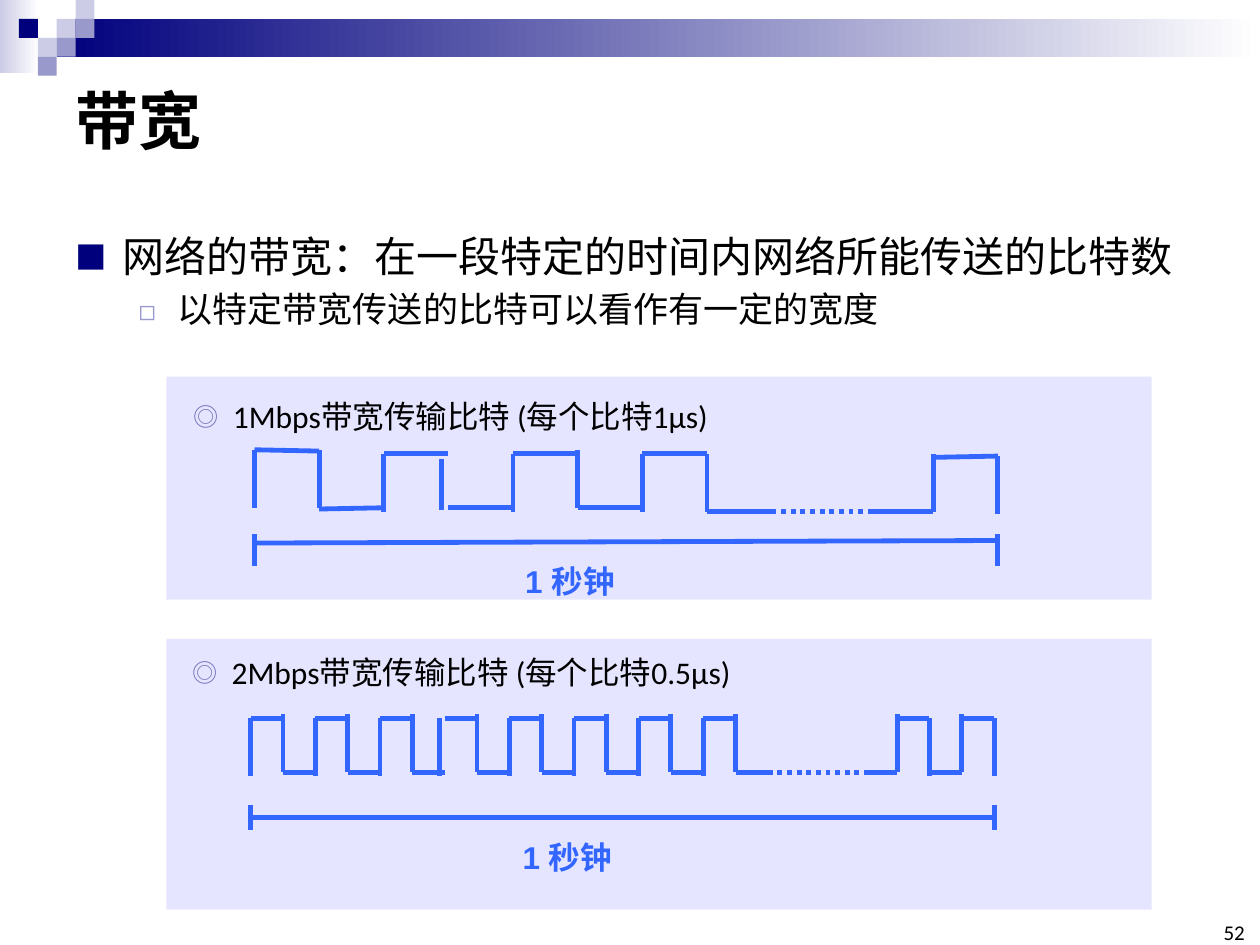
from dataclasses import dataclass

from lxml import etree
from pptx import Presentation
from pptx import util as u
from pptx.dml.color import RGBColor
from pptx.enum import dml, shapes, text
from pptx.oxml.ns import qn

NAVY = RGBColor(0x00, 0x00, 0x7D)
LILAC = RGBColor(0x99, 0x99, 0xCC)
PALE_LILAC = RGBColor(0xCC, 0xCC, 0xE6)
RING = RGBColor(0x74, 0x74, 0xBA)
PANEL = RGBColor(0xE5, 0xE5, 0xFF)
SIGNAL = RGBColor(0x33, 0x66, 0xFF)
BLACK = RGBColor(0, 0, 0)
WHITE = RGBColor(255, 255, 255)
CJK = "Noto Sans CJK SC"

prs = Presentation()
prs.slide_width, prs.slide_height = u.Inches(10), u.Inches(7.5)
UNIT = prs.slide_width / 100  # the slide is a grid of 100 columns by 75 rows
PIXEL = 1.5  # side of a header square, in grid units


@dataclass(frozen=True)
class Box:
    left: float
    top: float
    width: float
    height: float

    def emu(self) -> list[int]:
        return [round(v * UNIT) for v in (self.left, self.top, self.width, self.height)]


@dataclass(frozen=True)
class Level:
    """A horizontal stretch of the signal, lasting some bit slots."""
    slots: float
    row: float
    end_row: float | None = None
    dotted: bool = False


@dataclass(frozen=True)
class Edge:
    """A vertical change of the signal at a bit slot."""
    slot: float
    top: float
    bottom: float


@dataclass(frozen=True)
class Signal:
    area: Box
    caption: str
    caption_box: Box
    left: float
    slot_width: float
    levels: list[Level]
    edges: list[Edge]
    tick_top: float
    tick_bottom: float
    span_rows: tuple[float, float]
    duration_box: Box


def add_rect(parent, box: Box, color: RGBColor, fade_to: RGBColor | None = None) -> None:
    rect = parent.add_shape(shapes.MSO_SHAPE.RECTANGLE, *box.emu())
    rect.shadow.inherit = False
    rect.line.fill.background()
    if fade_to is None:
        rect.fill.solid()
        rect.fill.fore_color.rgb = color
        return
    rect.fill.gradient()
    rect.fill.gradient_angle = 0
    for stop, shade, position in zip(rect.fill.gradient_stops, (color, fade_to), (0, 1)):
        stop.color.rgb = shade
        stop.position = position


def add_line(parent, x1: float, y1: float, x2: float, y2: float, dotted: bool = False) -> None:
    ends = [round(v * UNIT) for v in (x1, y1, x2, y2)]
    line = parent.add_connector(shapes.MSO_CONNECTOR.STRAIGHT, *ends)
    line.line.color.rgb = SIGNAL
    line.line.width = u.Pt(2.75)
    if dotted:
        line.line.dash_style = dml.MSO_LINE.ROUND_DOT
    etree.SubElement(line._element.spPr, qn("a:effectLst"))


def write(paragraph, words: str, size: float, font: str = "Calibri",
          color: RGBColor = BLACK, bold: bool = False) -> None:
    run = paragraph.add_run()
    run.text = words
    paragraph.font.size, paragraph.font.bold = u.Pt(size), bold
    paragraph.font.name, paragraph.font.color.rgb = font, color
    # the run carries the font too, as the East Asian typeface is set per run
    run.font.size, run.font.bold = u.Pt(size), bold
    run.font.name, run.font.color.rgb = font, color
    latin = run._r.rPr.find(qn("a:latin"))
    east_asian = etree.Element(qn("a:ea"), typeface=CJK)
    latin.addnext(east_asian)


def set_bullet(paragraph, mark: str, color: RGBColor, percent: int,
               margin: float, hanging: float) -> None:
    props = paragraph._p.get_or_add_pPr()
    props.set("marL", str(round(margin * UNIT)))
    props.set("indent", str(round(-hanging * UNIT)))
    bullet_color = etree.Element(qn("a:buClr"))
    etree.SubElement(bullet_color, qn("a:srgbClr"), val=str(color))
    parts = [bullet_color,
             etree.Element(qn("a:buSzPct"), val=str(percent * 1000)),
             etree.Element(qn("a:buFont"), typeface=CJK),
             etree.Element(qn("a:buChar"), char=mark)]
    defaults = props.find(qn("a:defRPr"))
    for part in parts:
        if defaults is None:
            props.append(part)
        else:
            defaults.addprevious(part)


def add_text_frame(parent, box: Box):
    frame = parent.add_textbox(*box.emu()).text_frame
    frame.word_wrap = True
    return frame


def place(placeholder, box: Box):
    placeholder.left, placeholder.top, placeholder.width, placeholder.height = box.emu()
    placeholder.text_frame.auto_size = text.MSO_AUTO_SIZE.NONE
    return placeholder.text_frame


def draw_signal(slide, signal: Signal) -> None:
    group = slide.shapes.add_group_shape().shapes
    add_rect(group, signal.area, PANEL)

    x = signal.left
    for level in signal.levels:
        end = x + level.slots * signal.slot_width
        end_row = level.row if level.end_row is None else level.end_row
        add_line(group, x, level.row, end, end_row, level.dotted)
        x = end
    for edge in signal.edges:
        edge_x = signal.left + edge.slot * signal.slot_width
        add_line(group, edge_x, edge.top, edge_x, edge.bottom)

    for tick in (signal.left, x):
        add_line(group, tick, signal.tick_top, tick, signal.tick_bottom)
    add_line(group, signal.left, signal.span_rows[0], x, signal.span_rows[1])

    duration = add_text_frame(group, signal.duration_box).paragraphs[0]
    duration.alignment = text.PP_ALIGN.JUSTIFY
    write(duration, "1 秒钟", 18, "Arial", SIGNAL, bold=True)
    caption = add_text_frame(group, signal.caption_box).paragraphs[0]
    write(caption, signal.caption, 18)
    set_bullet(caption, "◎", RING, 80, 3.1, 3.1)


SLOW = Signal(
    Box(13.2, 29.9, 78.2, 17.7), "1Mbps带宽传输比特 (每个比特1μs)", Box(14.4, 31, 65.4, 4),
    20.2, 59 / 11.5,
    [Level(1, 35.7, 35.8), Level(1, 40.4, 40.3), Level(1, 36), Level(1, 40.3),
     Level(1, 36), Level(1, 40.3), Level(1, 36), Level(1, 40.6),
     Level(1.5, 40.6, dotted=True), Level(1, 40.6), Level(1, 36.3, 36.2)],
    [Edge(0, 35.7, 40.3), Edge(1, 35.7, 40.3), Edge(2, 36, 40.6), Edge(2.89, 36.4, 40.5),
     Edge(4, 36, 40.6), Edge(5, 35.7, 40.3), Edge(6, 36, 40.6), Edge(7, 36, 40.6),
     Edge(10.5, 36, 40.6), Edge(11.5, 36.2, 40.8)],
    42.4, 44.9, (43.1, 42.9), Box(40.7, 44.1, 12.8, 4.2))

HIGH, LOW = 57, 61.3
OVERSHOOT = 0.3
PULSE = [Level(1, HIGH), Level(1, LOW)]
FAST = Signal(
    Box(13.2, 50.7, 78.2, 21.5), "2Mbps带宽传输比特 (每个比特0.5μs)", Box(14.3, 51.3, 65.4, 4),
    19.9, 59 / 23,
    PULSE * 8 + [Level(3, LOW, dotted=True), Level(1, LOW)] + PULSE + [Level(1, HIGH)],
    [Edge(5.85 if slot == 6 else slot, HIGH, LOW + OVERSHOOT) if slot % 2 == 0
     else Edge(slot, HIGH - OVERSHOOT, LOW)
     for slot in range(16)]
    + [Edge(20, HIGH - OVERSHOOT, LOW), Edge(21, HIGH, LOW + OVERSHOOT),
       Edge(22, HIGH - OVERSHOOT, LOW), Edge(23, HIGH, LOW + OVERSHOOT)],
    63.9, 65.9, (64.9, 64.9), Box(40.5, 66, 12.8, 4.3))

HEADER_PIXELS = [  # column, row, colour
    (3, 1, PALE_LILAC), (4, 0, PALE_LILAC), (4, 1, LILAC), (2, 2, PALE_LILAC),
    (1, 1, NAVY), (3, 2, LILAC), (2, 3, LILAC)]


def main() -> None:
    slide = prs.slides.add_slide(prs.slide_layouts[1])
    add_rect(slide.shapes, Box(0, 0, 3.1, 5.8), PALE_LILAC, WHITE)
    add_rect(slide.shapes, Box(4.5, 1.5, 95.5, 3), NAVY, WHITE)
    for column, row, color in HEADER_PIXELS:
        add_rect(slide.shapes, Box(column * PIXEL, row * PIXEL, PIXEL, PIXEL), color)

    heading = place(slide.shapes.title, Box(5, 5, 90, 8.9)).paragraphs[0]
    heading.alignment = text.PP_ALIGN.LEFT
    write(heading, "带宽", 36, CJK, bold=True)

    points = place(slide.placeholders[1], Box(5, 15.8, 91.5, 14))
    definition = points.paragraphs[0]
    definition.line_spacing = 1.5
    write(definition, "网络的带宽：在一段特定的时间内网络所能传送的比特数", 24)
    set_bullet(definition, "■", NAVY, 75, 3.7, 3.7)
    remark = points.add_paragraph()
    remark.level = 1
    write(remark, "以特定带宽传送的比特可以看作有一定的宽度", 20)
    set_bullet(remark, "◻", LILAC, 80, 8.1, 3.1)

    page = add_text_frame(slide.shapes, Box(96.5, 73.3, 2.3, 1.7))
    page.margin_left = page.margin_right = page.margin_top = page.margin_bottom = 0
    page.vertical_anchor = text.MSO_ANCHOR.BOTTOM
    page.paragraphs[0].alignment = text.PP_ALIGN.RIGHT
    write(page.paragraphs[0], "52", 12)

    for signal in (SLOW, FAST):
        draw_signal(slide, signal)
    prs.save("out.pptx")


if __name__ == "__main__":
    main()
